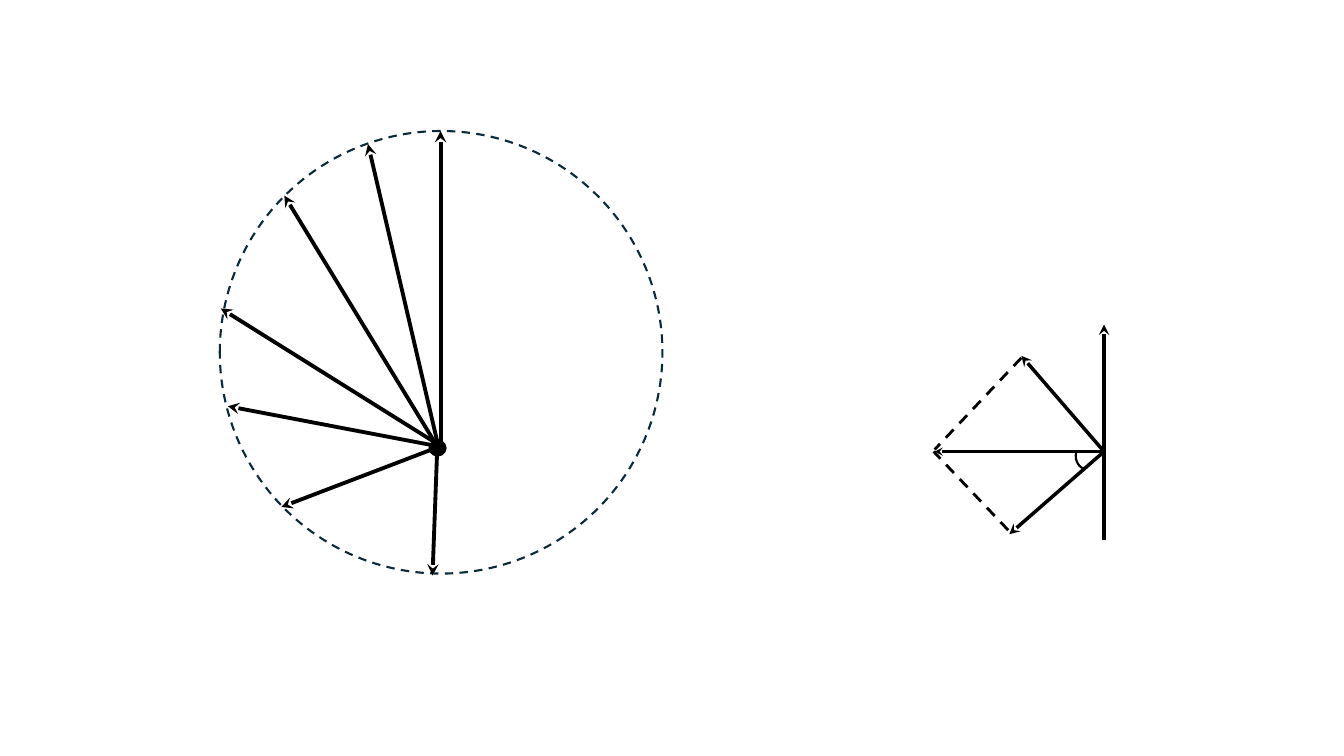
from lxml.etree import SubElement
from pptx import Presentation
from pptx.dml.color import RGBColor
from pptx.enum.dml import MSO_LINE_DASH_STYLE as Dash
from pptx.enum.shapes import MSO_CONNECTOR as Link, MSO_SHAPE as Kind
from pptx.oxml.ns import qn
from pptx.util import Pt

PX = 9144
WIDE, HIGH = 1333, 750
COLORS = {"ink": "000000", "ring": "092A39"}

DOT = (425, 436, 18, 17)
RING = (218, 130, 439, 439)
ARC = (1067, 437, 26, 29)
TURN = 196.1

RAYS = [
    ((437, 448), (437, 130)),
    ((436, 448), (365, 143)),
    ((435, 445), (282, 194)),
    ((438, 443), (219, 306)),
    ((441, 444), (226, 403)),
    ((436, 443), (279, 503)),
    ((434, 436), (429, 571)),
]
HUB = (1095, 448)
FORCES = [
    (HUB, (1013, 353), 2.5),
    (HUB, (927, 448), 1.75),
    ((1095, 536), (1095, 322), 2.5),
    (HUB, (1001, 530), 2.5),
]
SIDES = [((1013, 355), (927, 446)), ((1000, 526), (926, 448))]


def paint(line, color, width, dash=None):
    line.color.rgb = RGBColor.from_string(COLORS[color])
    line.width = Pt(width)
    if dash:
        line.dash_style = dash


def shape(kind, box):
    item = slide.shapes.add_shape(kind, *(n * PX for n in box))
    item.shadow.inherit = False
    item.fill.background()
    return item


def join(start, end, width, dash=None):
    item = slide.shapes.add_connector(Link.STRAIGHT, *(n * PX for n in start + end))
    paint(item.line, "ink", width, dash)
    props = item._element.spPr
    if not dash:
        SubElement(props.find(qn("a:ln")), qn("a:tailEnd"), type="stealth")
    SubElement(props, qn("a:effectLst"))


deck = Presentation()
deck.slide_width, deck.slide_height = WIDE * PX, HIGH * PX
slide = deck.slides.add_slide(deck.slide_layouts[6])

dot = shape(Kind.OVAL, DOT)
dot.fill.solid()
dot.fill.fore_color.rgb = RGBColor.from_string(COLORS["ink"])
dot.line.fill.background()

ring = shape(Kind.OVAL, RING)
paint(ring.line, "ring", 1.5, Dash.DASH)

for start, end in RAYS:
    join(start, end, 2.75)
for start, end, width in FORCES:
    join(start, end, width)

arc = shape(Kind.ARC, ARC)
arc.rotation = TURN
paint(arc.line, "ink", 1.5)

for start, end in SIDES:
    join(start, end, 2, Dash.DASH)

deck.save("out.pptx")
